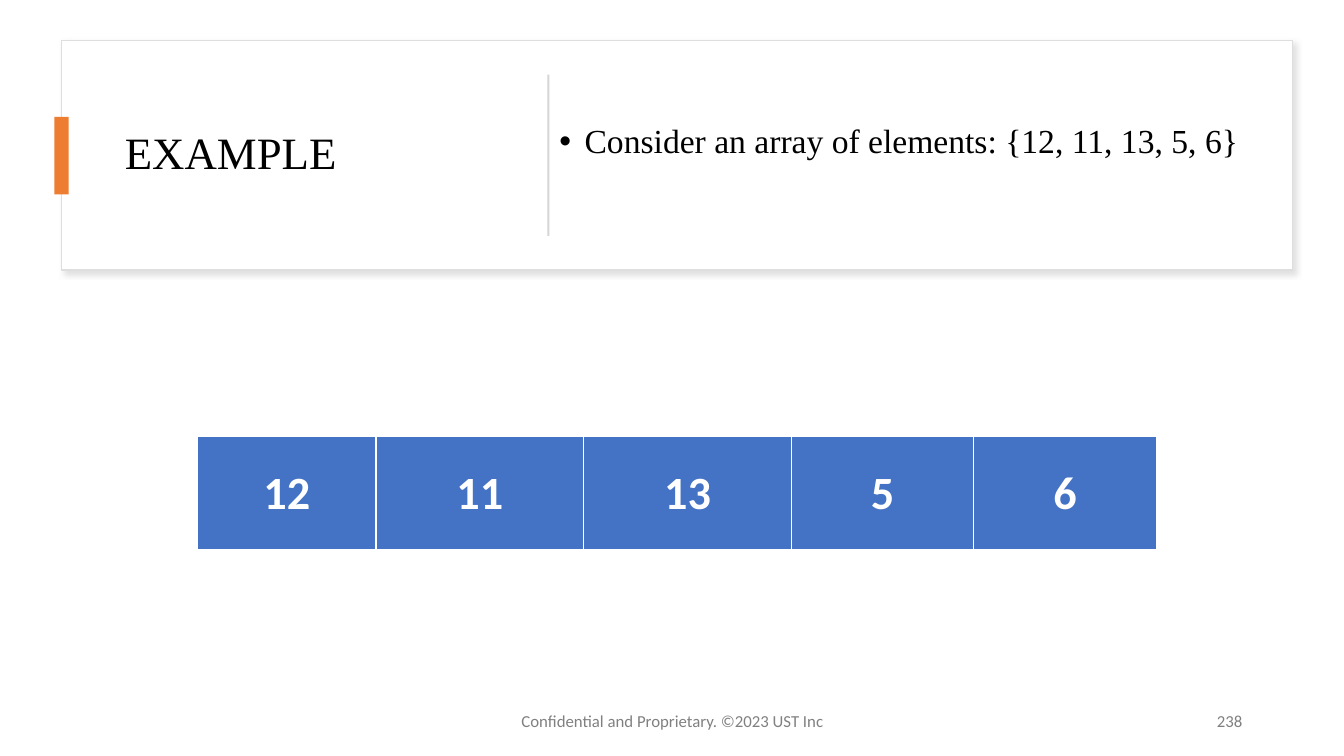
from dataclasses import dataclass

from lxml.etree import SubElement
from pptx import Presentation
from pptx.dml.color import RGBColor
from pptx.enum.shapes import MSO_SHAPE
from pptx.enum.text import MSO_ANCHOR, PP_ALIGN
from pptx.oxml.ns import qn
from pptx.shapes.autoshape import Shape
from pptx.slide import Slide
from pptx.table import _Cell
from pptx.text.text import _Paragraph
from pptx.util import Inches, Pt

WHITE = RGBColor(0xFF, 0xFF, 0xFF)
BLACK = RGBColor(0x00, 0x00, 0x00)
GRAY = RGBColor(0x80, 0x80, 0x80)
CARD_EDGE = RGBColor(0xDE, 0xDE, 0xDE)
CARD_SHADOW = RGBColor(0xC5, 0xC3, 0xC3)
DIVIDER = RGBColor(0xD5, 0xD5, 0xD5)
ORANGE = RGBColor(0xED, 0x7D, 0x31)
BLUE = RGBColor(0x44, 0x72, 0xC4)
SERIF = "Times New Roman"
SANS = "Calibri"

ARRAY_VALUES = ["12", "11", "13", "5", "6"]
COLUMN_WIDTHS = [1.77, 2.06, 2.06, 1.81, 1.81]
ROW_HEIGHT = 1.14
BORDER_WIDTHS = {"a:lnL": 1, "a:lnR": 1, "a:lnT": 1, "a:lnB": 3}


@dataclass
class Box:
    left: float
    top: float
    width: float
    height: float

    def lengths(self) -> list[int]:
        return [Inches(n) for n in (self.left, self.top, self.width, self.height)]


@dataclass
class Label:
    text: str
    box: Box
    size: int
    font: str
    color: RGBColor
    align: PP_ALIGN = PP_ALIGN.LEFT
    line_spacing: float = 1.0
    bottom_inset: float = 0.05
    bulleted: bool = False


CARD = Box(0.61, 0.4, 12.21, 2.28)
BARS = [
    (Box(0.54, 1.16, 0.14, 0.77), ORANGE),
    (Box(5.43, 0.74, 0.02, 1.6), DIVIDER),
]
LABELS = [
    Label("EXAMPLE", Box(1.14, 0.64, 3.89, 1.8), 32, SERIF, BLACK, line_spacing=0.9),
    Label("Consider an array of elements: {12, 11, 13, 5, 6}", Box(5.45, 0.64, 6.96, 1.8),
          24, SERIF, BLACK, line_spacing=0.9, bottom_inset=0.29, bulleted=True),
    Label("Confidential and Proprietary. ©2023 UST Inc", Box(4.42, 6.95, 4.5, 0.4),
          12, SANS, GRAY, PP_ALIGN.CENTER),
    Label("238", Box(9.42, 6.95, 3, 0.4), 12, SANS, GRAY, PP_ALIGN.RIGHT),
]


def add_rectangle(slide: Slide, box: Box, color: RGBColor) -> Shape:
    shape = slide.shapes.add_shape(MSO_SHAPE.RECTANGLE, *box.lengths())
    shape.shadow.inherit = False
    shape.fill.solid()
    shape.fill.fore_color.rgb = color
    shape.line.fill.background()
    return shape


def add_card(slide: Slide) -> None:
    card = add_rectangle(slide, CARD, WHITE)
    card.line.color.rgb = CARD_EDGE
    card.line.width = Pt(1)
    effects = card._element.spPr.find(qn("a:effectLst"))
    shadow = SubElement(effects, qn("a:outerShdw"), blurRad=str(Pt(4)), dist=str(Pt(3)),
                        dir=str(45 * 60000), algn="tl", rotWithShape="0")
    color = SubElement(shadow, qn("a:srgbClr"), val=str(CARD_SHADOW))
    SubElement(color, qn("a:alpha"), val="50000")


def add_run(paragraph: _Paragraph, text: str, size: int, font: str,
            color: RGBColor, bold: bool = False) -> None:
    run = paragraph.add_run()
    run.text = text
    run.font.size = Pt(size)
    run.font.name = font
    run.font.bold = bold
    run.font.color.rgb = color


def add_bullet(paragraph: _Paragraph) -> None:
    properties = paragraph._p.get_or_add_pPr()
    properties.set("marL", str(Inches(0.25)))
    properties.set("indent", str(Inches(-0.25)))
    SubElement(properties, qn("a:buFont"), typeface="Arial")
    SubElement(properties, qn("a:buChar"), char="•")


def add_label(slide: Slide, label: Label) -> None:
    frame = slide.shapes.add_textbox(*label.box.lengths()).text_frame
    frame.word_wrap = True
    frame.vertical_anchor = MSO_ANCHOR.MIDDLE
    frame.margin_bottom = Inches(label.bottom_inset)
    paragraph = frame.paragraphs[0]
    if label.bulleted:
        add_bullet(paragraph)
    paragraph.alignment = label.align
    paragraph.line_spacing = label.line_spacing
    add_run(paragraph, label.text, label.size, label.font, label.color)


def add_borders(cell: _Cell) -> None:
    properties = cell._tc.get_or_add_tcPr()
    for tag, width in BORDER_WIDTHS.items():
        line = SubElement(properties, qn(tag), w=str(Pt(width)))
        fill = SubElement(line, qn("a:solidFill"))
        SubElement(fill, qn("a:srgbClr"), val=str(WHITE))


def add_array_table(slide: Slide) -> None:
    box = Box(1.96, 4.33, sum(COLUMN_WIDTHS), ROW_HEIGHT)
    table = slide.shapes.add_table(1, len(ARRAY_VALUES), *box.lengths()).table
    table.rows[0].height = Inches(ROW_HEIGHT)
    for index, (value, width) in enumerate(zip(ARRAY_VALUES, COLUMN_WIDTHS)):
        table.columns[index].width = Inches(width)
        cell = table.cell(0, index)
        add_borders(cell)
        cell.fill.solid()
        cell.fill.fore_color.rgb = BLUE
        cell.vertical_anchor = MSO_ANCHOR.MIDDLE
        cell.margin_left = cell.margin_right = Inches(0.1 if index == 0 else 0.25)
        cell.margin_top = cell.margin_bottom = Inches(0.25)
        paragraph = cell.text_frame.paragraphs[0]
        paragraph.alignment = PP_ALIGN.CENTER
        add_run(paragraph, value, 33, SANS, WHITE, bold=True)


def main() -> None:
    presentation = Presentation()
    presentation.slide_width = Inches(13.33)
    presentation.slide_height = Inches(7.5)
    slide = presentation.slides.add_slide(presentation.slide_layouts[6])
    add_card(slide)
    for box, color in BARS:
        add_rectangle(slide, box, color)
    for label in LABELS:
        add_label(slide, label)
    add_array_table(slide)
    presentation.save("out.pptx")


if __name__ == "__main__":
    main()
